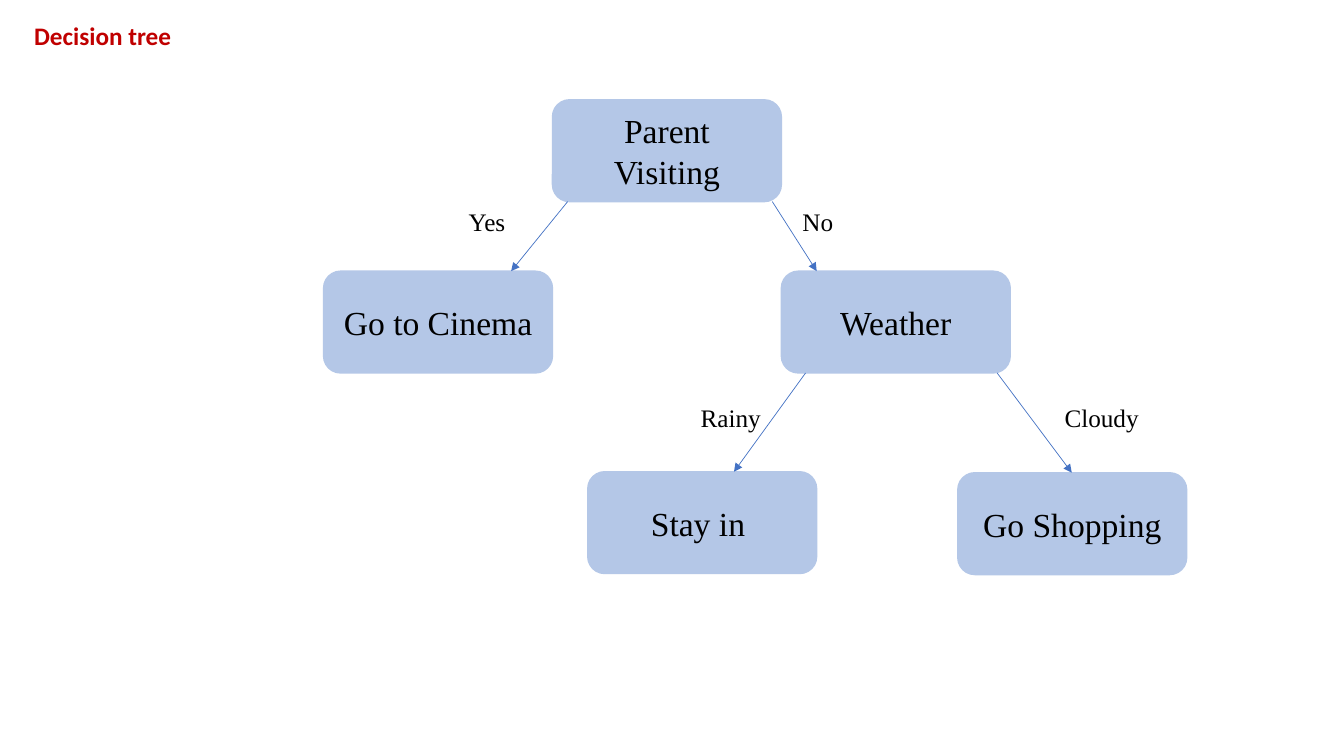
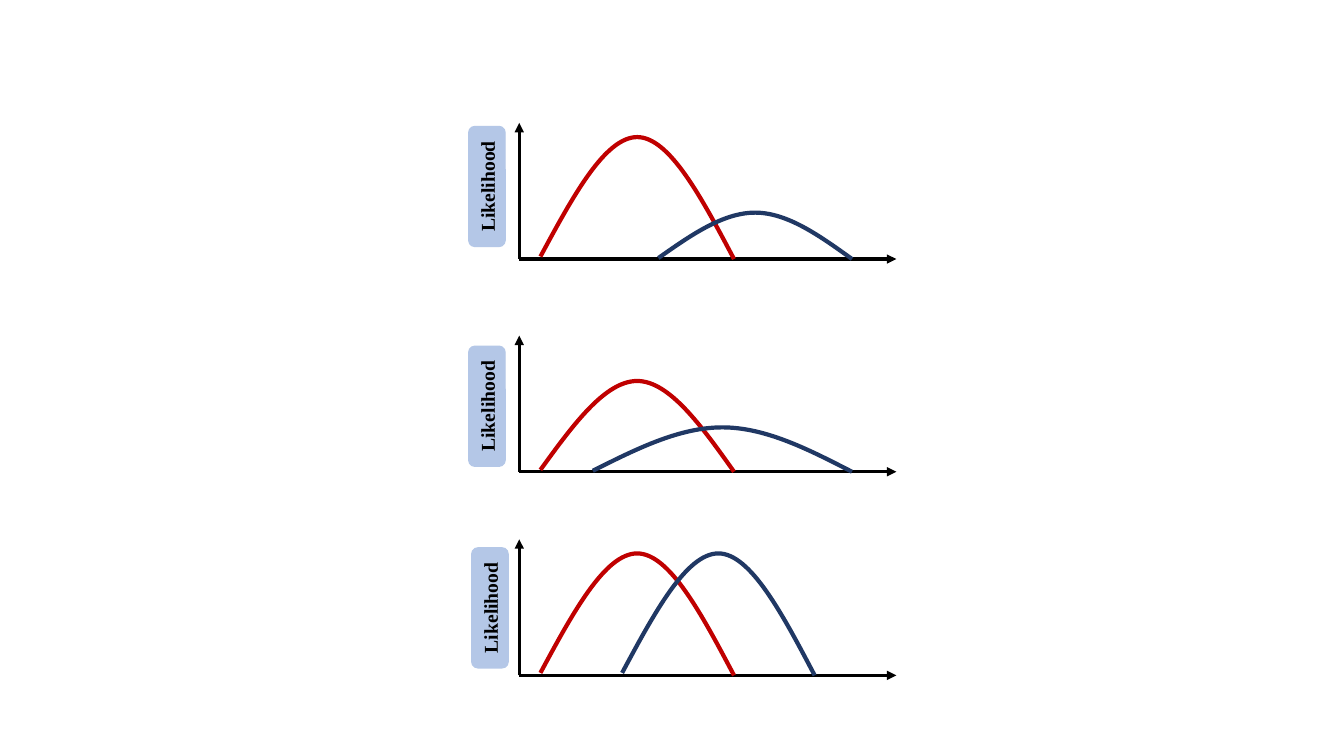
from lxml import etree
from pptx import Presentation, util as u
from pptx.dml.color import RGBColor
from pptx.enum import shapes, text
from pptx.oxml.ns import qn

# Shared style
COLORS = {"box": "B4C7E7", "arrow": "4472C4", "ink": "000000",
          "red": "C00000", "navy": "203864"}
SERIF = "Times New Roman"
NODE_FONT = {"name": SERIF, "size": u.Pt(24)}
EDGE_FONT = {"name": SERIF, "size": u.Pt(18)}
AXIS_FONT = {"name": SERIF, "size": u.Pt(14), "bold": True}
TITLE_FONT = {"name": "Calibri", "size": u.Pt(18), "bold": True}

# Slide 1 content: node text with left and top; edges with x ends, label left, width, drop
TITLE = ("Decision tree", 0.24, 0.15, 1.57)
NODE_W, NODE_H = 2.27, 1.01
NODES = {
    "visit": ("Parent Visiting", 5.48, 0.99),
    "cinema": ("Go to Cinema", 3.21, 2.69),
    "weather": ("Weather", 7.75, 2.69),
    "stay": ("Stay in ", 5.83, 4.68),
    "shop": ("Go Shopping", 9.5, 4.69),
}
EDGES = [
    ("visit", "cinema", 5.63, 5.07, "Yes", 4.55, 0.57, 0),
    ("visit", "weather", 7.66, 8.1, "No", 7.86, 0.55, 0),
    ("weather", "stay", 7.99, 7.28, "Rainy", 6.85, 0.81, 0.24),
    ("weather", "shop", 9.89, 10.63, "Cloudy", 10.46, 1.01, 0.24),
]

# Slide 2 content: baseline, label centre, then curves (colour, left, width, height)
AXIS_LEFT, AXIS_W, AXIS_H = 5.15, 3.74, 1.35
LABEL, LABEL_W, LABEL_H = "Likelihood", 1.19, 0.36
CHARTS = [
    (2.57, (4.83, 1.85), [("red", 5.36, 1.92, 1.21), ("navy", 6.53, 1.92, 0.46)]),
    (4.68, (4.83, 4.03), [("red", 5.36, 1.92, 0.9), ("navy", 5.88, 2.57, 0.44)]),
    (6.7, (4.86, 6.03), [("red", 5.36, 1.92, 1.21), ("navy", 6.17, 1.91, 1.21)]),
]
START_LIFT = 0.02   # share of a curve's height

prs = Presentation()
prs.slide_width, prs.slide_height = u.Inches(13.33), u.Inches(7.5)


def inches(*values):
    return [u.Inches(v) for v in values]


def rgb(name):
    return RGBColor.from_string(COLORS[name])


def write(tf, words, font, color="ink", align=None):
    p = tf.paragraphs[0]
    p.alignment = align
    r = p.add_run()
    r.text = words
    for key, value in font.items():
        setattr(r.font, key, value)
    r.font.color.rgb = rgb(color)


def set_line(sp, color, width):
    sp.line.color.rgb = rgb(color)
    sp.line.width = u.Pt(width)


def add_text(s, words, left, top, width, font, color="ink"):
    tf = s.shapes.add_textbox(*inches(left, top, width, 0.4)).text_frame
    tf.word_wrap = False
    tf.auto_size = text.MSO_AUTO_SIZE.SHAPE_TO_FIT_TEXT
    write(tf, words, font, color)


def add_box(s, words, left, top, width, height, font):
    sp = s.shapes.add_shape(shapes.MSO_SHAPE.ROUNDED_RECTANGLE,
                            *inches(left, top, width, height))
    sp.shadow.inherit = False
    sp.fill.solid()
    sp.fill.fore_color.rgb = rgb("box")
    set_line(sp, "box", 1)
    sp.text_frame.vertical_anchor = text.MSO_ANCHOR.MIDDLE
    write(sp.text_frame, words, font, align=text.PP_ALIGN.CENTER)
    return sp


def add_arrow(s, x1, y1, x2, y2, color, width):
    sp = s.shapes.add_connector(shapes.MSO_CONNECTOR.STRAIGHT, *inches(x1, y1, x2, y2))
    set_line(sp, color, width)
    etree.SubElement(sp.line._get_or_add_ln(), qn("a:tailEnd"), type="triangle")
    etree.SubElement(sp._element.spPr, qn("a:effectLst"))


def bend(sp):
    """Turn the two straight sides (start, peak, end) into Bezier arcs."""
    outline = next(sp._element.iter(qn("a:path")))
    start, peak, end = [(int(pt.get("x")), int(pt.get("y")))
                        for pt in outline.iter(qn("a:pt"))]
    for side in outline.findall(qn("a:lnTo")):
        outline.remove(side)
    for (x1, y1), (x2, y2) in ((start, peak), (peak, end)):
        third, middle, top = (x2 - x1) / 3, (y1 + y2) / 2, peak[1]
        handles = (middle, top) if y1 > y2 else (top, middle)
        arc = etree.SubElement(outline, qn("a:cubicBezTo"))
        for x, y in ((x1 + third, handles[0]), (x2 - third, handles[1]), (x2, y2)):
            etree.SubElement(arc, qn("a:pt"), x=str(round(x)), y=str(round(y)))


def add_curve(s, color, left, width, height, base):
    start = inches(left, base - START_LIFT * height)
    peak = inches(left + width / 2, base - height)
    end = inches(left + width, base)
    builder = s.shapes.build_freeform(*start)
    builder.add_line_segments([peak, end], close=False)
    sp = builder.convert_to_shape()
    bend(sp)
    sp.shadow.inherit = False
    sp.fill.background()
    set_line(sp, color, 3)


# Slide 1: decision tree
s = prs.slides.add_slide(prs.slide_layouts[6])
for words, left, top in NODES.values():
    add_box(s, words, left, top, NODE_W, NODE_H, NODE_FONT)
for parent, child, x1, x2, words, label_left, label_w, drop in EDGES:
    bottom = NODES[parent][2] + NODE_H
    add_arrow(s, x1, bottom, x2, NODES[child][2], "arrow", 0.5)
    add_text(s, words, label_left, bottom + drop, label_w, EDGE_FONT)
add_text(s, *TITLE, TITLE_FONT, "red")

# Slide 2: likelihood curves
s = prs.slides.add_slide(prs.slide_layouts[6])
for base, (cx, cy), curves in CHARTS:
    add_arrow(s, AXIS_LEFT, base, AXIS_LEFT, base - AXIS_H, "ink", 2.25)
    add_arrow(s, AXIS_LEFT, base, AXIS_LEFT + AXIS_W, base, "ink", 2.25)
    for curve in curves:
        add_curve(s, *curve, base)
    label = add_box(s, LABEL, cx - LABEL_W / 2, cy - LABEL_H / 2,
                    LABEL_W, LABEL_H, AXIS_FONT)
    label.rotation = 270

prs.save("out.pptx")
